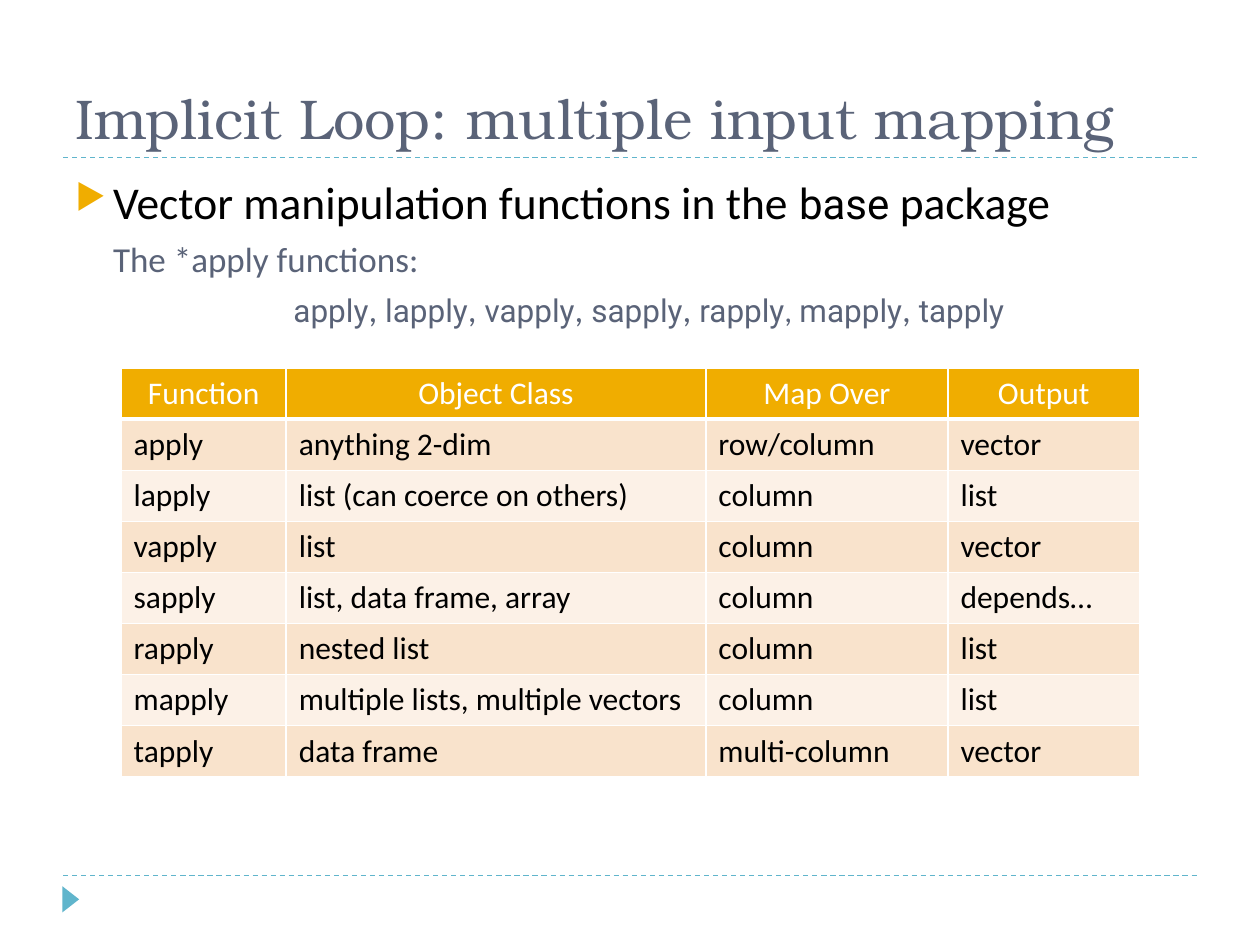
from lxml.etree import SubElement
from pptx import Presentation
from pptx.dml.color import RGBColor
from pptx.enum.dml import MSO_LINE
from pptx.enum.shapes import MSO_CONNECTOR, MSO_SHAPE
from pptx.enum.text import MSO_ANCHOR, MSO_AUTO_SIZE, PP_ALIGN
from pptx.oxml import parse_xml
from pptx.oxml.ns import nsdecls, qn
from pptx.util import Cm, Pt

SLATE, TEAL, AMBER = "5A6378", "60B5CC", "F0AD00"
BLACK, WHITE = "000000", "FFFFFF"
BANDS = ("F9E3CC", "FCF1E7")
FUNCTIONS = ["apply", "lapply", "vapply", "sapply", "rapply", "mapply", "tapply"]
ROWS = [
    ("Function", "Object Class", "Map Over", "Output"),
    ("apply", "anything 2-dim", "row/column", "vector"),
    ("lapply", "list (can coerce on others)", "column", "list"),
    ("vapply", "list", "column", "vector"),
    ("sapply", "list, data frame, array", "column", "depends…"),
    ("rapply", "nested list", "column", "list"),
    ("mapply", "multiple lists, multiple vectors", "column", "list"),
    ("tapply", "data frame", "multi-column", "vector"),
]
COL_WIDTHS = (3.33, 8.46, 4.88, 3.86)
ROW_HEIGHT = 1.03


def rgb(value):
    return RGBColor.from_string(value)


def format_run(r, size, font, color):
    r.font.size = Pt(size)
    r.font.name = font
    r.font.color.rgb = rgb(color)


def add_run(p, text, size, font, color):
    r = p.add_run()
    r.text = text
    format_run(r, size, font, color)


def add_rule(slide, top):
    line = slide.shapes.add_connector(
        MSO_CONNECTOR.STRAIGHT, Cm(1.27), Cm(top), Cm(24.13), Cm(top))
    line.line.color.rgb = rgb(TEAL)
    line.line.width = Pt(0.75)
    line.line.dash_style = MSO_LINE.DASH
    SubElement(line._element.spPr, qn("a:effectLst"))


def add_marker(slide):
    sp = slide.shapes.add_shape(
        MSO_SHAPE.ISOSCELES_TRIANGLE, Cm(1.16), Cm(17.96), Cm(0.53), Cm(0.34))
    sp.rotation = 90
    sp.shadow.inherit = False
    sp.fill.solid()
    sp.fill.fore_color.rgb = rgb(TEAL)
    sp.line.fill.background()


def set_title(slide, text):
    sp = slide.shapes.title
    sp.left, sp.top, sp.width, sp.height = Cm(1.27), Cm(0.43), Cm(22.86), Cm(2.74)
    tf = sp.text_frame
    tf.text = text
    tf.auto_size = MSO_AUTO_SIZE.NONE
    tf.vertical_anchor = MSO_ANCHOR.BOTTOM
    p = tf.paragraphs[0]
    p.alignment = PP_ALIGN.LEFT
    format_run(p.runs[0], 32, "TeX Gyre Bonum", SLATE)


def set_paragraph(p, space, level=0, bullet=False):
    p.level = level
    p.space_before = Pt(space)
    pPr = p._p.get_or_add_pPr()
    pPr.set("marL", str(Cm(0.76)))
    pPr.set("indent", str(Cm(-0.76) if bullet else 0))
    if bullet:
        color = SubElement(pPr, qn("a:buClr"))
        SubElement(color, qn("a:srgbClr"), val=AMBER)
        SubElement(pPr, qn("a:buSzPct"), val="76000")
        SubElement(pPr, qn("a:buChar"), char="▶")
    else:
        SubElement(pPr, qn("a:buNone"))


def add_body(slide):
    sp = slide.shapes.add_textbox(Cm(1.27), Cm(3.38), Cm(22.86), Cm(13.72))
    tf = sp.text_frame
    tf.word_wrap = True

    p = tf.paragraphs[0]
    set_paragraph(p, 6, bullet=True)
    add_run(p, "Vector manipulation functions in the ", 26, "Calibri", BLACK)
    add_run(p, "base", 24, "Roboto", BLACK)
    add_run(p, " package", 26, "Calibri", BLACK)

    p = tf.add_paragraph()
    set_paragraph(p, 5, level=1)
    add_run(p, "The *apply functions: ", 20, "Calibri", SLATE)

    p = tf.add_paragraph()
    set_paragraph(p, 5, level=1)
    p.alignment = PP_ALIGN.CENTER
    for name in FUNCTIONS:
        if name != FUNCTIONS[0]:
            add_run(p, ", ", 18 if name == "mapply" else 20, "Calibri", SLATE)
        add_run(p, name, 18, "Roboto", SLATE)


def set_borders(cell, **widths):
    tcPr = cell._tc.get_or_add_tcPr()
    for i, side in enumerate("LRTB"):
        width = Pt(widths.get(side, 1))
        tcPr.insert(i, parse_xml(
            f'<a:ln{side} {nsdecls("a")} w="{width}"><a:solidFill>'
            f'<a:srgbClr val="{WHITE}"/></a:solidFill></a:ln{side}>'))


def fill_cell(cell, text, row):
    header = row == 0
    cell.text = text
    p = cell.text_frame.paragraphs[0]
    p.alignment = PP_ALIGN.CENTER if header else PP_ALIGN.LEFT
    format_run(p.runs[0], 18, "Calibri", WHITE if header else BLACK)
    p.runs[0].font.bold = False
    cell.fill.solid()
    cell.fill.fore_color.rgb = rgb(AMBER if header else BANDS[(row - 1) % 2])
    set_borders(cell, B=3 if header else 1, T=3 if row == 1 else 1)


def add_function_table(slide):
    table = slide.shapes.add_table(
        len(ROWS), len(COL_WIDTHS), Cm(2.44), Cm(7.42),
        Cm(sum(COL_WIDTHS)), Cm(ROW_HEIGHT * len(ROWS))).table
    for column, width in zip(table.columns, COL_WIDTHS):
        column.width = Cm(width)
    for i, texts in enumerate(ROWS):
        table.rows[i].height = Cm(ROW_HEIGHT)
        for j, text in enumerate(texts):
            fill_cell(table.cell(i, j), text, i)


def main():
    prs = Presentation()
    prs.slide_width, prs.slide_height = Cm(25.4), Cm(19.05)
    slide = prs.slides.add_slide(prs.slide_layouts[5])
    for top in (17.65, 3.18):
        add_rule(slide, top)
    add_marker(slide)
    set_title(slide, "Implicit Loop: multiple input mapping")
    add_body(slide)
    add_function_table(slide)
    prs.save("out.pptx")


main()
